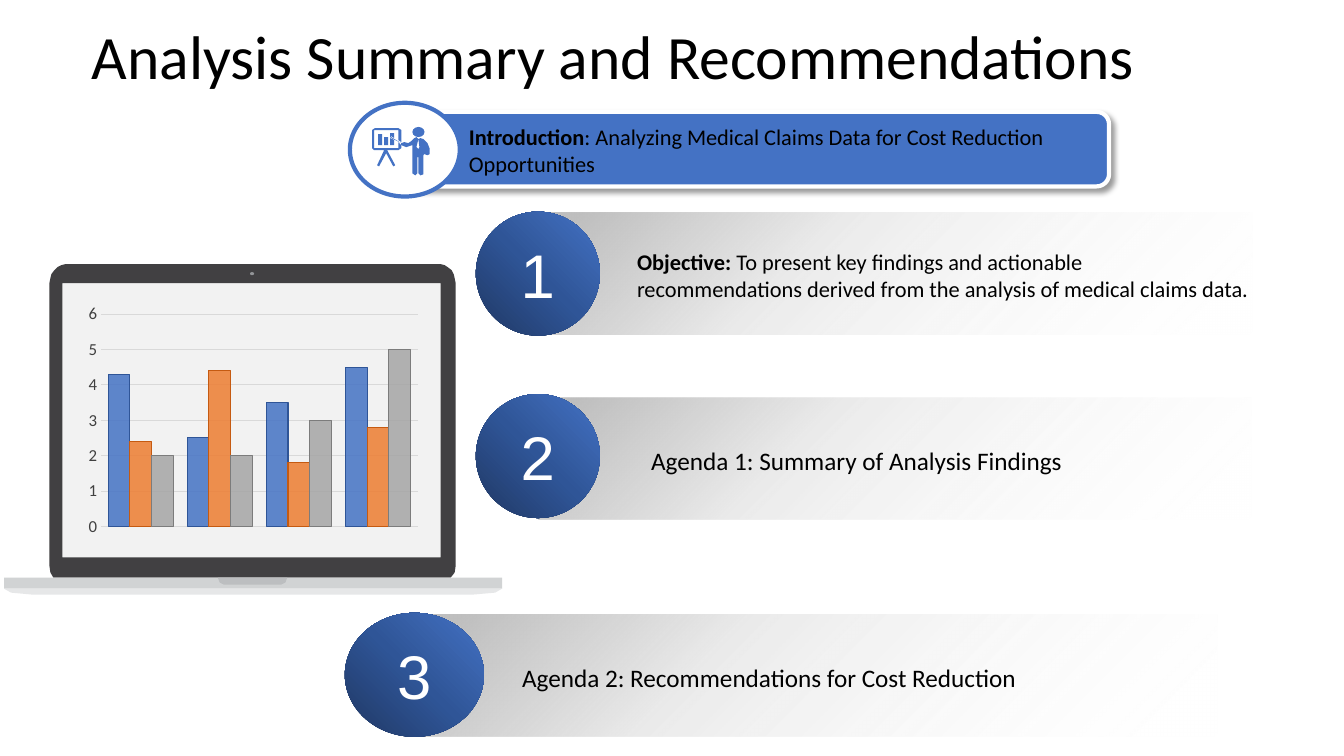
from dataclasses import dataclass
from math import cos, sin, radians

from lxml import etree
from pptx import Presentation
from pptx import util as u
from pptx.chart.data import CategoryChartData
from pptx.dml.color import RGBColor
from pptx.enum import chart as ch, shapes as sh, text as tx
from pptx.oxml.ns import qn

PX = 9144  # 100 px to the inch


@dataclass(frozen=True)
class Theme:
    font: str = "Calibri"
    digit: str = "Arial"
    black: str = "000000"
    white: str = "FFFFFF"
    blue: str = "4472C4"
    frame: str = "414042"
    paper: str = "F2F2F2"
    base: str = "D1D3D4"
    notch: str = "BCBEC0"
    foot: str = "E6E7E8"
    lens: str = "939598"
    grid: str = "D9D9D9"
    label: str = "404040"
    # stops: position, colour, opacity in percent
    fade: tuple = ((5, "BFBFBF", 100), (37, "BFBFBF", 31), (100, "FFFFFF", 0))
    disc: tuple = ((0, "203864", 100), (50, "2F5597", 100), (100, "4472C4", 100))
    big: int = 44
    mid: int = 18
    small: int = 16
    tick: int = 12


T = Theme()

TITLE = "Analysis Summary and Recommendations"
INTRO = [("Introduction", True),
         (": Analyzing Medical Claims Data for Cost Reduction Opportunities", False)]
# bar, text and disc boxes, size, runs
ROWS = [
    ((535, 211, 707, 121), (622, 227, 627, 91), (472, 210, 123, 123), T.small,
     [("Objective: ", True),
      ("To present key findings and actionable recommendations derived "
       "from the analysis of medical claims data.", False)]),
    ((534, 394, 707, 121), (636, 411, 492, 91), (472, 391, 123, 123), T.mid,
     [("Agenda 1: Summary of Analysis Findings", False)]),
    ((412, 610, 796, 121), (508, 647, 692, 50), (342, 608, 138, 123), T.mid,
     [("Agenda 2: Recommendations for Cost Reduction", False)]),
]
CATS = ["1", "2", "3", "4"]
# name, values, fill, line
SERIES = [("Series 1", (4.3, 2.5, 3.5, 4.5), "4472C4", "2F5597"),
          ("Series 2", (2.4, 4.4, 1.8, 2.8), "ED7D31", "C55A11"),
          ("Series 3", (2, 2, 3, 5), "A5A5A5", "7C7C7C")]
BOARD = [(372, 127), (395, 127), (398, 129), (398, 141), (395, 139), (395, 129),
         (371, 129), (371, 147), (395, 147), (395, 141), (398, 144), (398, 147),
         (395, 149), (384, 149), (392, 164), (390, 165), (383, 152), (376, 165),
         (374, 164), (381, 149), (371, 149), (369, 147), (369, 129)]
COLUMN = [(387, 132), (391, 132), (391, 137), (388, 135), (387, 137),
          (391, 139), (391, 144), (387, 144)]
MAN = [(388, 136), (398, 142), (401, 141), (405, 142), (408, 140), (411, 137),
       (413, 136), (415, 138), (417, 137), (420, 138), (424, 142), (426, 147),
       (426, 153), (424, 154), (421, 153), (421, 146), (421, 152), (420, 154),
       (420, 173), (417, 174), (415, 172), (415, 156), (414, 156), (414, 172),
       (412, 174), (409, 172), (409, 144), (406, 145), (403, 146), (398, 144),
       (398, 142), (388, 137)]
TIE = [(415, 138), (413, 146), (415, 148), (416, 146)]
HOLE = [(62, 281), (62, 553), (437, 553), (437, 281)]
NOTCH = [(216, 573), (218, 578), (222, 580), (279, 580), (283, 578), (285, 573)]
FOOT = [(4, 584), (11, 588), (33, 590), (468, 590), (491, 588), (498, 584)]


def put(obj, **vals):
    for key, val in vals.items():
        setattr(obj, key, val)


def rgb(code):
    return RGBColor.from_string(code)


def emu(box):
    return [n * PX for n in box]


def node(up, tag, **vals):
    return etree.SubElement(up, qn(tag), {k: str(v) for k, v in vals.items()})


def blend(shape, stops, angle):
    """Fill with a linear gradient; the angle runs clockwise."""
    shape.fill.background()
    spot = shape._element.spPr.find(qn("a:noFill"))
    grad = etree.Element(qn("a:gradFill"), rotWithShape="1")
    spot.getparent().replace(spot, grad)
    gaps = node(grad, "a:gsLst")
    for at, code, alpha in stops:
        tint = node(node(gaps, "a:gs", pos=at * 1000), "a:srgbClr", val=code)
        if alpha < 100:
            node(tint, "a:alpha", val=alpha * 1000)
    node(grad, "a:lin", ang=angle * 60000, scaled=0)


def paint(shape, fill, line=None):
    shape.shadow.inherit = False
    if fill:
        shape.fill.solid()
        shape.fill.fore_color.rgb = rgb(fill)
    if line:
        shape.line.color.rgb = rgb(line)
        shape.line.width = u.Pt(3)
    else:
        shape.line.fill.background()
    return shape


def draw(group, kind, box, fill=None, line=None):
    kind = getattr(sh.MSO_SHAPE, kind)
    return paint(group.shapes.add_shape(kind, *emu(box)), fill, line)


def trace(group, fill, *paths):
    """Draw closed outlines as one shape; inner ones become holes."""
    pen = group.shapes.build_freeform(*paths[0][0], scale=PX)
    for i, path in enumerate(paths):
        if i:
            pen.move_to(*path[0])
        pen.add_line_segments(path[1:], close=True)
    return paint(pen.convert_to_shape(), fill)


def write(shape, runs, size, color=T.black, font=T.font, align="LEFT",
          pads=(10, 5, 10, 5)):
    frame = shape.text_frame
    sides = ("left", "top", "right", "bottom")
    put(frame, word_wrap=True, auto_size=tx.MSO_AUTO_SIZE.NONE,
        vertical_anchor=tx.MSO_ANCHOR.MIDDLE,
        **{f"margin_{side}": pad * PX for side, pad in zip(sides, pads)})
    para = frame.paragraphs[0]
    para.alignment = getattr(tx.PP_ALIGN, align)
    for words, bold in runs:
        run = para.add_run()
        run.text = words
        put(run.font, size=u.Pt(size), name=font, bold=bold)
        run.font.color.rgb = rgb(color)
    return para


def arc(x, y, wide, high, start):
    """Points of a quarter ellipse, clockwise from the start angle."""
    turns = [radians(start + 15 * i) for i in range(7)]
    return [(x + wide * cos(t), y + high * sin(t)) for t in turns]


def add_row(slide, num, row):
    bar, box, disc, size, runs = row
    group = slide.shapes.add_group_shape()
    blend(draw(group, "RECTANGLE", bar), T.fade, 45)
    write(group.shapes.add_textbox(*emu(box)), runs, size)
    ball = draw(group, "OVAL", disc)
    blend(ball, T.disc, 315)
    write(ball, [(str(num), False)], T.big, T.white, T.digit, "CENTER",
          (8, 10, 8, 10))


def add_intro(slide):
    group = slide.shapes.add_group_shape()
    card = draw(group, "ROUNDED_RECTANGLE", (402, 111, 698, 74), T.blue, T.white)
    glow = node(card._element.spPr.find(qn("a:effectLst")), "a:outerShdw",
                blurRad=u.Pt(4), dist=u.Pt(3), dir=45 * 60000, algn="tl",
                rotWithShape=0)
    node(node(glow, "a:srgbClr", val=T.black), "a:alpha", val=40000)
    write(group.shapes.add_textbox(*emu((406, 115, 690, 67))), INTRO, T.small,
          pads=(59, 4, 4, 4))
    draw(group, "OVAL", (347, 102, 109, 93), T.white, T.blue)
    for paths in ([BOARD], [COLUMN], [MAN, TIE]):
        trace(group, T.blue, *paths)
    draw(group, "RECTANGLE", (375, 133, 4, 11), T.blue)
    draw(group, "RECTANGLE", (381, 136, 4, 8), T.blue)
    draw(group, "OVAL", (409, 126, 12, 10), T.blue)


def add_laptop(slide):
    group = slide.shapes.add_group_shape()
    draw(group, "RECTANGLE", (55, 274, 391, 289), T.paper)
    case = (arc(65, 281, 16, 19, 180) + arc(437, 281, 15, 19, 270)
            + [(452, 561), (451, 568), (447, 573), (53, 573), (50, 568), (49, 561)])
    trace(group, T.frame, case, HOLE)
    draw(group, "RECTANGLE", (4, 573, 494, 11), T.base)
    draw(group, "OVAL", (248, 270, 4, 3), T.lens)
    trace(group, T.notch, NOTCH)
    trace(group, T.foot, FOOT)
    add_bars(slide)


def add_bars(slide):
    data = CategoryChartData()
    data.categories = CATS
    for name, vals, *_ in SERIES:
        data.add_series(name, vals)
    chart = slide.shapes.add_chart(ch.XL_CHART_TYPE.COLUMN_CLUSTERED,
                                   *emu((81, 297, 340, 240)), data).chart
    put(chart, has_legend=False, has_title=False)
    put(chart.font, size=u.Pt(10), name=T.font)
    chart.category_axis.visible = False
    axis = chart.value_axis
    put(axis, minimum_scale=0, maximum_scale=6, major_unit=1,
        major_tick_mark=ch.XL_TICK_MARK.NONE, has_major_gridlines=True)
    axis.format.line.fill.background()
    put(axis.tick_labels.font, size=u.Pt(T.tick), name=T.font)
    axis.tick_labels.font.color.rgb = rgb(T.label)
    grid = axis.major_gridlines.format.line
    grid.color.rgb = rgb(T.grid)
    grid.width = u.Pt(0.75)
    plot = chart.plots[0]
    put(plot, gap_width=65, overlap=0, vary_by_categories=False)
    for bars, (_, _, fill, line) in zip(plot.series, SERIES):
        look = bars.format
        look.fill.solid()
        look.fill.fore_color.rgb = rgb(fill)
        node(bars._element.find(".//" + qn("a:srgbClr")), "a:alpha", val=85000)
        look.line.color.rgb = rgb(line)
        look.line.width = u.Pt(0.75)


def main():
    deck = Presentation()
    put(deck, slide_width=1333 * PX, slide_height=750 * PX)
    slide = deck.slides.add_slide(deck.slide_layouts[5])
    title = slide.shapes.title
    put(title, **dict(zip(("left", "top", "width", "height"),
                          emu((81, 18, 1150, 83)))))
    write(title, [(TITLE, False)], T.big).line_spacing = 0.9
    for num, row in enumerate(ROWS, 1):
        add_row(slide, num, row)
    add_intro(slide)
    add_laptop(slide)
    deck.save("out.pptx")


if __name__ == "__main__":
    main()
